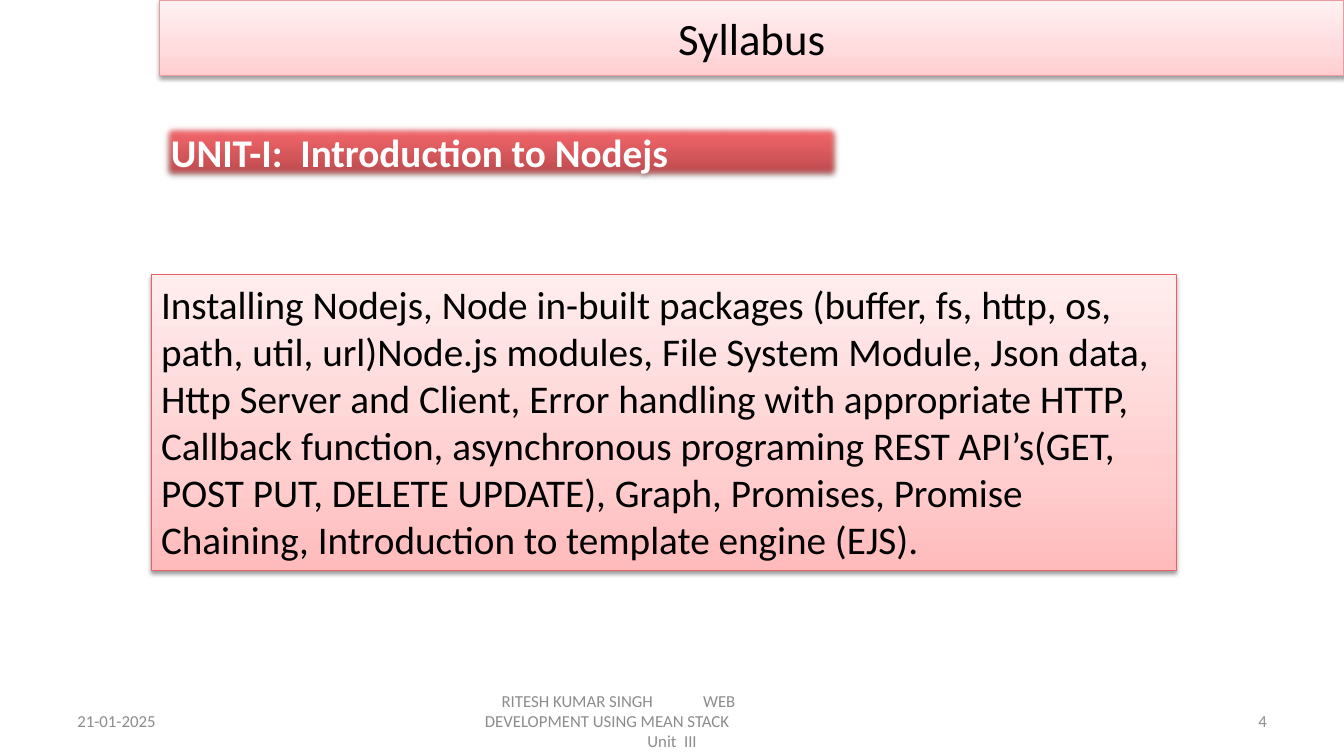
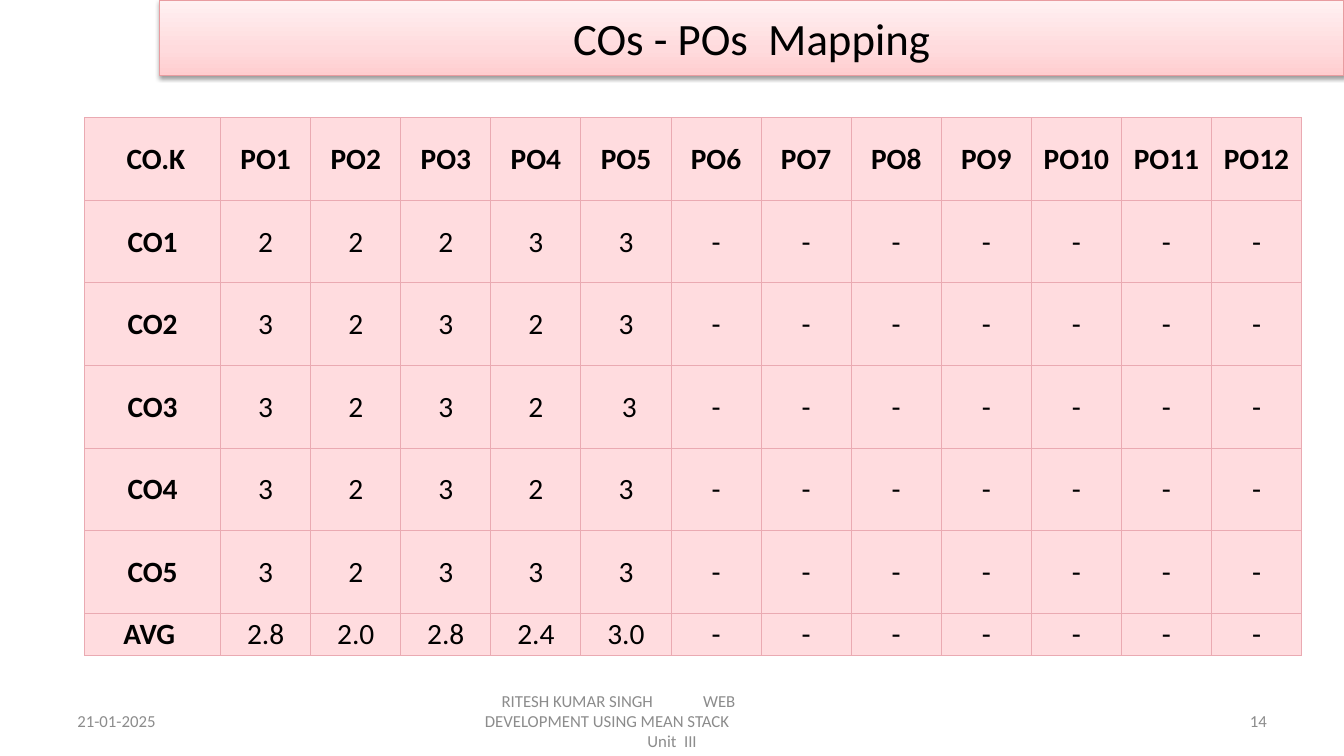
"""Build the syllabus slide and the CO-PO mapping slide."""
from lxml import etree
from pptx import Presentation
from pptx import util as u
from pptx.dml import color
from pptx.enum import shapes, text
from pptx.oxml import ns

BLACK, WHITE, GREY = "000000", "FFFFFF", "8C8C8C"
CELL_FILL, CELL_EDGE = "FFDCDF", "EAAAB2"
LEFT, CENTER = text.PP_ALIGN.LEFT, text.PP_ALIGN.CENTER
RIGHT, JUSTIFY = text.PP_ALIGN.RIGHT, text.PP_ALIGN.JUSTIFY
TOP, MIDDLE = text.MSO_ANCHOR.TOP, text.MSO_ANCHOR.MIDDLE

PANELS = {
    "title": {"stops": [(0, "FFCDCF"), (35, "FFDBDD"), (100, "FFF1F2")],
              "line": "E89CA0", "shade": 38, "soft": 0},
    "unit": {"stops": [(0, "B44649"), (80, "F16569"), (100, "F56367")],
             "line": None, "shade": 35, "soft": 5},
    "topics": {"stops": [(0, "FFBBBC"), (35, "FFCFD0"), (100, "FFEDED")],
               "line": "E66265", "shade": 38, "soft": 0},
}


def write(frame, lines, size, hue, align=LEFT, anchor=MIDDLE, bold=False):
    """Fill a text frame with one paragraph per line."""
    settings = {"word_wrap": True, "auto_size": text.MSO_AUTO_SIZE.NONE,
                "vertical_anchor": anchor}
    for name, value in settings.items():
        setattr(frame, name, value)
    for index, line in enumerate(lines):
        para = frame.add_paragraph() if index else frame.paragraphs[0]
        para.alignment = align
        span = para.add_run()
        span.text = line
        for name, value in {"name": "Calibri", "size": u.Pt(size), "bold": bold}.items():
            setattr(span.font, name, value)
        span.font.color.rgb = color.RGBColor.from_string(hue)


def decorate(box, stops, line, shade, soft):
    """Give a panel its gradient, outline, shadow and soft edge."""
    box.fill.gradient()
    box.fill.gradient_angle = 90
    stop_list = box._element.spPr.find(".//" + ns.qn("a:gsLst"))
    stop_list.clear()
    for position, hue in stops:
        stop = etree.SubElement(stop_list, ns.qn("a:gs"), pos=str(position * 1000))
        etree.SubElement(stop, ns.qn("a:srgbClr"), val=hue)
    if line:
        box.line.color.rgb = color.RGBColor.from_string(line)
        box.line.width = u.Pt(0.75)
    else:
        box.line.fill.background()
    box.shadow.inherit = False
    effects = box._element.spPr.find(ns.qn("a:effectLst"))
    shadow = etree.SubElement(effects, ns.qn("a:outerShdw"), blurRad=str(u.Pt(3.1)),
                              dist=str(u.Pt(1.6)), dir="5400000", rotWithShape="0")
    tint = etree.SubElement(shadow, ns.qn("a:srgbClr"), val=BLACK)
    etree.SubElement(tint, ns.qn("a:alpha"), val=str(shade * 1000))
    if soft:
        etree.SubElement(effects, ns.qn("a:softEdge"), rad=str(u.Pt(soft)))


deck = Presentation()
deck.slide_width, deck.slide_height = u.Cm(33.87), u.Cm(19.05)

pages = []
for heading, number in [("Syllabus", "4"), ("COs - POs  Mapping", "14")]:
    page = deck.slides.add_slide(deck.slide_layouts[5])
    pages.append(page)
    title = page.shapes.title
    place = {"left": 4.02, "top": 0, "width": 29.85, "height": 1.9}
    for name, value in place.items():
        setattr(title, name, u.Cm(value))
    decorate(title, **PANELS["title"])
    write(title.text_frame, [heading], 32, BLACK, CENTER)

    footers = [
        (1.7, 7.9, LEFT, ["21-01-2025"]),
        (11.58, 10.72, CENTER, ["RITESH KUMAR SINGH\tWEB",
                                "DEVELOPMENT USING MEAN STACK", "Unit  III"]),
        (24.28, 7.9, RIGHT, [number]),
    ]
    for left, width, align, lines in footers:
        box = page.shapes.add_textbox(u.Cm(left), u.Cm(17.65), u.Cm(width), u.Cm(1.02))
        write(box.text_frame, lines, 12, GREY, align)
        if len(lines) > 1:
            for para, indent in zip(box.text_frame.paragraphs, [0.81, 0.39]):
                para.alignment = LEFT
                props = para._p.get_or_add_pPr()
                props.set("marL", str(u.Cm(indent)))
                props.set("indent", "0")
            tabs = etree.SubElement(box.text_frame.paragraphs[0]._p.pPr, ns.qn("a:tabLst"))
            etree.SubElement(tabs, ns.qn("a:tab"), pos=str(u.Cm(8.62)), algn="l")

syllabus, mapping = pages

panels = [
    ("unit", (4.06, 3.1, 17.15, 1.45), "UNIT-I:  Introduction to Nodejs",
     {"hue": WHITE, "align": JUSTIFY, "bold": True}),
    ("topics", (3.81, 6.93, 25.83, 7.44),
     "Installing Nodejs, Node in-built packages (buffer, fs, http, os, path, util, "
     "url)Node.js modules, File System Module, Json data, Http Server and Client, "
     "Error handling with appropriate HTTP, Callback function, asynchronous "
     "programing REST API’s(GET, POST PUT, DELETE UPDATE), Graph, Promises, "
     "Promise Chaining, Introduction to template engine (EJS).",
     {"hue": BLACK}),
]
for style, place, words, look in panels:
    box = syllabus.shapes.add_shape(shapes.MSO_SHAPE.RECTANGLE, *map(u.Cm, place))
    decorate(box, **PANELS[style])
    write(box.text_frame, [words], 28, anchor=TOP, **look)

scores = [
    (" CO.K", [f"PO{n}" for n in range(1, 13)]),
    ("CO1", ["2", "2", "2", "3", "3"]),
    ("CO2", ["3", "2", "3", "2", "3"]),
    ("CO3", ["3", "2", "3", "2", " 3"]),
    ("CO4", ["3", "2", "3", "2", "3"]),
    ("CO5", ["3", "2", "3", "3", "3"]),
    ("AVG ", ["2.8", "2.0", "2.8", "2.4", "3.0"]),
]
widths = [3.43] + [2.27] * 12
heights = [2.08] * 6 + [1.06]
grid = mapping.shapes.add_table(len(heights), len(widths), u.Cm(2.13), u.Cm(2.97),
                                u.Cm(sum(widths)), u.Cm(sum(heights))).table
grid.first_row = grid.horz_banding = False
for column, width in zip(grid.columns, widths):
    column.width = u.Cm(width)
for row, height, (label, values) in zip(grid.rows, heights, scores):
    row.height = u.Cm(height)
    entries = [label] + values + ["-"] * (12 - len(values))
    for index, (cell, entry) in enumerate(zip(row.cells, entries)):
        margins = {"margin_left": 0.02, "margin_right": 0.02,
                   "margin_top": 0.02, "margin_bottom": 0}
        for name, value in margins.items():
            setattr(cell, name, u.Cm(value))
        cell.vertical_anchor = MIDDLE
        write(cell.text_frame, [entry], 21, BLACK, CENTER,
              bold=index == 0 or entry.startswith("PO"))
        props = cell._tc.get_or_add_tcPr()
        for side in ("lnL", "lnR", "lnT", "lnB"):
            edge = etree.SubElement(props, ns.qn("a:" + side), w=str(u.Pt(0.75)))
            paint = etree.SubElement(edge, ns.qn("a:solidFill"))
            etree.SubElement(paint, ns.qn("a:srgbClr"), val=CELL_EDGE)
        cell.fill.solid()
        cell.fill.fore_color.rgb = color.RGBColor.from_string(CELL_FILL)

deck.save("out.pptx")
